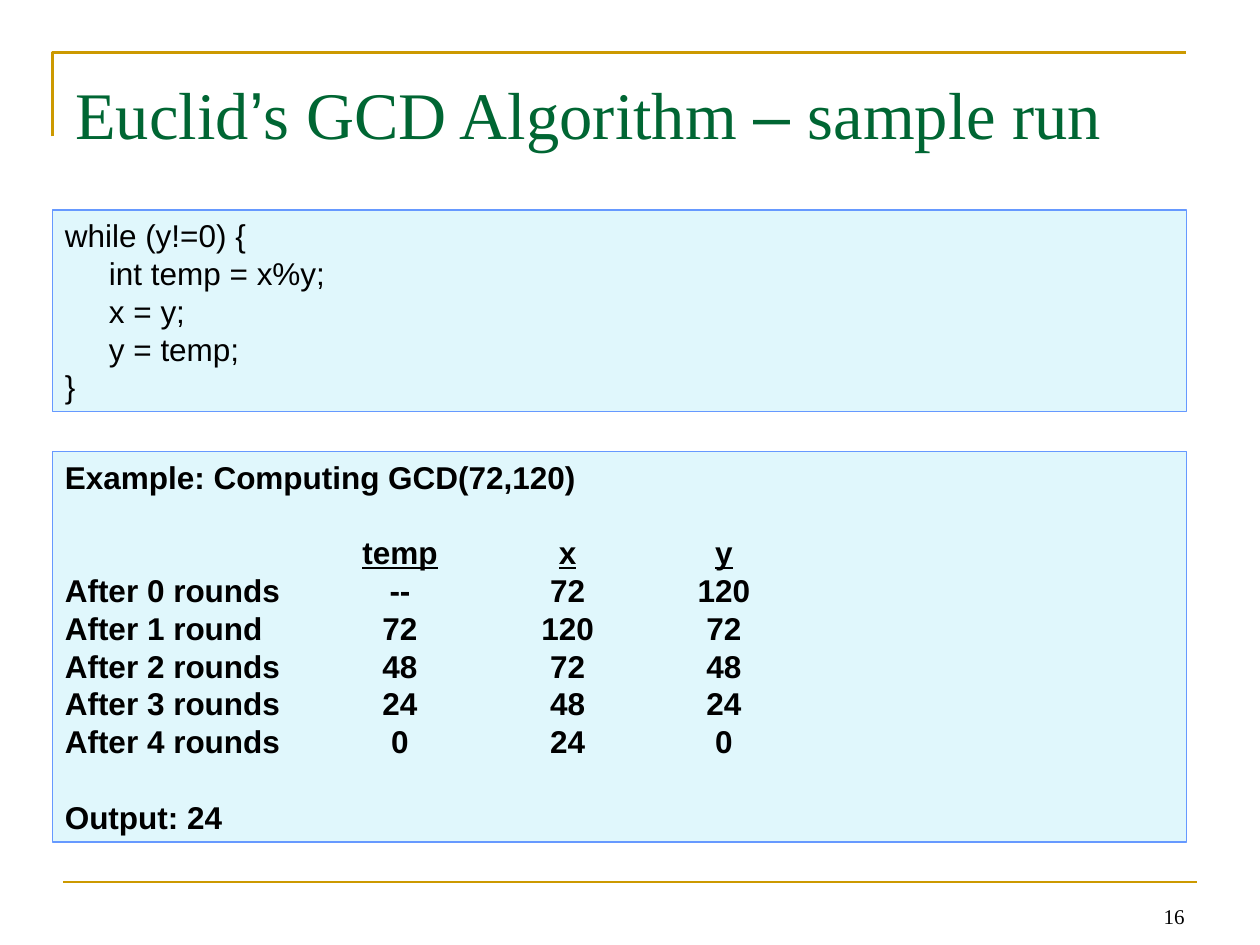
from lxml import etree
from pptx import Presentation
from pptx import util as u
from pptx.dml.color import RGBColor
from pptx.enum import shapes, text
from pptx.oxml.ns import qn

CELL = u.Inches(1) / 12
GOLD, GREEN, BLACK, PALE, BLUE = "CC9900", "006633", "000000", "E0F7FC", "6699FF"
BODY = {"name": "Arial", "size": u.Pt(18), "color": BLACK}
BOLD = {**BODY, "bold": True}
TITLE = {"name": "Times New Roman", "size": u.Pt(38), "color": GREEN}
NUMBER = {"name": "Times New Roman", "size": u.Pt(12), "color": BLACK}
LINE = u.Pt(21.6)
TABS = (2.66, 3.99, 5.23)
HEADS = ("temp", "x", "y")
ROUNDS = (
    ("After 0 rounds", "--", "72", "120"),
    ("After 1 round", "72", "120", "72"),
    ("After 2 rounds", "48", "72", "48"),
    ("After 3 rounds", "24", "48", "24"),
    ("After 4 rounds", "0", "24", "0"),
)


def rgb(value):
    """Turn a hex string into a colour."""
    return RGBColor.from_string(value)


def grid(*cells):
    """Turn columns and rows of a 120 by 90 grid into lengths."""
    return [u.Emu(round(c * CELL)) for c in cells]


def stroke(sp, color, width):
    """Set the line of a shape or connector."""
    sp.line.color.rgb = rgb(color)
    sp.line.width = u.Pt(width)


def add_run(p, content, fmt):
    """Append a run whose font follows a dict of format values."""
    r = p.add_run()
    r.text = content
    for key, value in fmt.items():
        if key == "color":
            r.font.color.rgb = rgb(value)
        else:
            setattr(r.font, key, value)


def set_frame(sp, anchor):
    """Make a shape's text wrap at an anchor and return its frame."""
    tf = sp.text_frame
    tf.word_wrap = True
    tf.vertical_anchor = anchor
    return tf


def add_corner(s):
    """Draw the open corner frame around the title."""
    (x, y), (right, bottom) = grid(5, 5), grid(113, 13)
    fb = s.shapes.build_freeform(x, bottom)
    fb.add_line_segments([(x, y), (right, y)], close=False)
    sp = fb.convert_to_shape()
    sp.fill.background()
    sp.shadow.inherit = False
    stroke(sp, GOLD, 1.5)


def add_rule(s):
    """Draw the line above the footer."""
    sp = s.shapes.add_connector(shapes.MSO_CONNECTOR.STRAIGHT, *grid(6, 84, 114, 84))
    stroke(sp, GOLD, 1.5)
    etree.SubElement(sp._element.spPr, qn("a:effectLst"))


def add_label(s, cells, runs, anchor, align):
    """Add a one-paragraph text box and return its frame."""
    tf = set_frame(s.shapes.add_textbox(*grid(*cells)), anchor)
    p = tf.paragraphs[0]
    p.alignment = align
    for content, fmt in runs:
        add_run(p, content, fmt)
    return tf


def add_panel(s, row, rows):
    """Add a pale full-width panel and return its frame."""
    sp = s.shapes.add_shape(shapes.MSO_SHAPE.RECTANGLE, *grid(5, row, 108, rows))
    sp.fill.solid()
    sp.fill.fore_color.rgb = rgb(PALE)
    sp.shadow.inherit = False
    stroke(sp, BLUE, 0.75)
    return set_frame(sp, text.MSO_ANCHOR.TOP)


def add_line(tf, cells, fmt, cell_fmt=None, indent=0, before=0):
    """Add a paragraph of cells set on centred tab stops."""
    p = tf.paragraphs[0]
    if p.runs:
        p = tf.add_paragraph()
    values = {"alignment": text.PP_ALIGN.LEFT, "line_spacing": LINE, "space_before": before}
    for key, value in values.items():
        setattr(p, key, value)
    pPr = p._p.get_or_add_pPr()
    pPr.set("marL", str(u.Inches(indent)))
    if len(cells) > 1:
        tabs = etree.SubElement(pPr, qn("a:tabLst"))
        for pos in TABS:
            etree.SubElement(tabs, qn("a:tab"), pos=str(u.Inches(pos)), algn="ctr")
    for i, cell in enumerate(cells):
        if i:
            add_run(p, "\t", fmt)
        if cell:
            add_run(p, cell, cell_fmt or fmt)


def add_code(s):
    """Fill the upper panel with the loop."""
    tf = add_panel(s, 20, 19.2)
    add_line(tf, ["while (y!=0) {"], BODY)
    for statement in ("int temp = x%y;", "x = y;", "y = temp;"):
        add_line(tf, [statement], BODY, indent=0.35)
    add_line(tf, ["}"], BODY)


def add_example(s):
    """Fill the lower panel with the trace of the run."""
    tf = add_panel(s, 43, 37.2)
    add_line(tf, ["Example: Computing GCD(72,120)"], BOLD)
    add_line(tf, ("", *HEADS), BOLD, {**BOLD, "underline": True}, before=LINE)
    for cells in ROUNDS:
        add_line(tf, cells, BOLD)
    add_line(tf, ["Output: 24"], BOLD, before=LINE)


def main():
    """Build the slide and save it."""
    prs = Presentation()
    prs.slide_width, prs.slide_height = grid(120, 90)
    s = prs.slides.add_slide(prs.slide_layouts[6])
    add_corner(s)
    add_rule(s)
    add_label(s, (86, 83, 28, 6), [("16", NUMBER)], text.MSO_ANCHOR.BOTTOM, text.PP_ALIGN.RIGHT)
    arial = {**TITLE, "name": "Arial"}
    title = [("Euclid", TITLE), ("’", arial), ("s GCD Algorithm ", TITLE),
             ("–", arial), (" sample run", TITLE)]
    tf = add_label(s, (6, 5.6, 108, 11.4), title, text.MSO_ANCHOR.TOP, text.PP_ALIGN.LEFT)
    tf.margin_top = u.Inches(0.11)
    add_code(s)
    add_example(s)
    prs.save("out.pptx")


if __name__ == "__main__":
    main()
